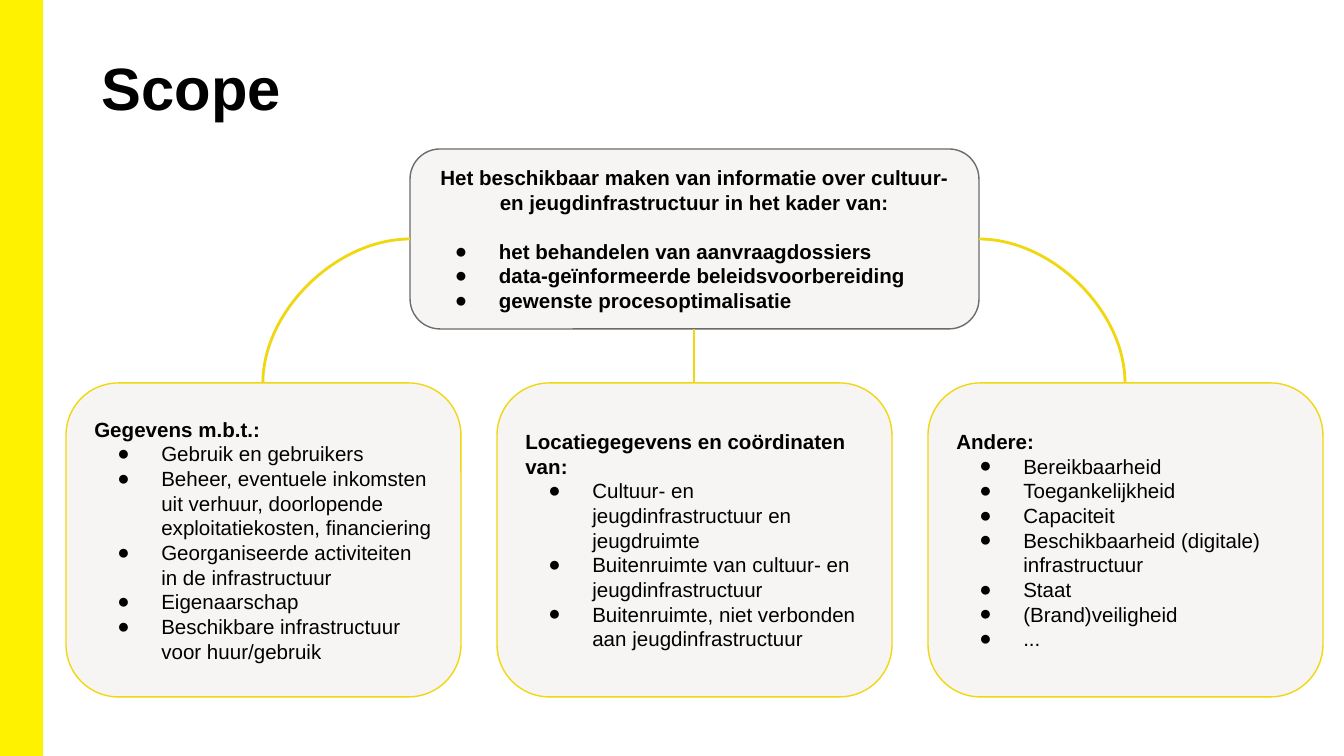
"""Build the Scope slide: a central goal linked to three cards of details."""
from dataclasses import dataclass

from lxml.etree import SubElement
from pptx import Presentation
from pptx.dml.color import RGBColor
from pptx.enum.shapes import MSO_CONNECTOR, MSO_SHAPE
from pptx.enum.text import MSO_ANCHOR, PP_ALIGN
from pptx.oxml.ns import qn
from pptx.util import Emu, Pt

PAGE_WIDTH, PAGE_HEIGHT = 1344, 756
SCALE = 9144000 / PAGE_WIDTH
BLACK, PALE, GREY = "000000", "F6F5F3", "6B6B6B"
YELLOW, GOLD = "FFF200", "F0D70F"
CARD_LEFT, CARD_STEP, CARD_TOP, CARD_WIDTH, CARD_HEIGHT = 66, 431, 383, 395, 314


@dataclass(frozen=True)
class Area:
    """A rectangle in px."""

    left: int
    top: int
    width: int
    height: int

    @property
    def middle(self) -> int:
        """Return the horizontal centre."""
        return self.left + self.width // 2


@dataclass(frozen=True)
class Card:
    """A heading with its bullet points."""

    heading: str
    points: tuple[str, ...]


GOAL_AREA = Area(410, 149, 569, 180)
GOAL = Card(
    "Het beschikbaar maken van informatie over cultuur- en jeugdinfrastructuur in het kader van:",
    (
        "het behandelen van aanvraagdossiers",
        "data-geïnformeerde beleidsvoorbereiding",
        "gewenste procesoptimalisatie",
    ),
)
CARDS = (
    Card("Gegevens m.b.t.:", (
        "Gebruik en gebruikers",
        "Beheer, eventuele inkomsten uit verhuur, doorlopende exploitatiekosten, financiering",
        "Georganiseerde activiteiten in de infrastructuur",
        "Eigenaarschap",
        "Beschikbare infrastructuur voor huur/gebruik",
    )),
    Card("Locatiegegevens en coördinaten van:", (
        "Cultuur- en jeugdinfrastructuur en jeugdruimte",
        "Buitenruimte van cultuur- en jeugdinfrastructuur",
        "Buitenruimte, niet verbonden aan jeugdinfrastructuur",
    )),
    Card("Andere:", (
        "Bereikbaarheid",
        "Toegankelijkheid",
        "Capaciteit",
        "Beschikbaarheid (digitale) infrastructuur",
        "Staat",
        "(Brand)veiligheid",
        "...",
    )),
)


def px(length: int) -> Emu:
    """Turn px into EMU."""
    return Emu(round(length * SCALE))


def color(value: str) -> RGBColor:
    """Turn a hex string into a colour."""
    return RGBColor.from_string(value)


def set_margins(frame, side: int, top: int, bottom: int) -> None:
    """Wrap the text and set its insets."""
    frame.word_wrap = True
    frame.margin_left = frame.margin_right = px(side)
    frame.margin_top, frame.margin_bottom = px(top), px(bottom)


def add_bullet(paragraph) -> None:
    """Give a paragraph a hanging round bullet."""
    properties = paragraph._p.get_or_add_pPr()
    properties.set("marL", str(px(67)))
    properties.set("indent", str(px(-44)))
    fill = SubElement(properties, qn("a:buClr"))
    SubElement(fill, qn("a:srgbClr")).set("val", BLACK)
    SubElement(properties, qn("a:buFont")).set("typeface", "Arial")
    SubElement(properties, qn("a:buChar")).set("char", "●")


def write(frame, text: str, *, size: int = 11, bold: bool = False, bullet: bool = False,
          align: PP_ALIGN = PP_ALIGN.LEFT, before: int = 0) -> None:
    """Write one paragraph, reusing the first one while it is empty."""
    first = frame.paragraphs[0]
    paragraph = frame.add_paragraph() if first.runs else first
    paragraph.alignment = align
    if before:
        paragraph.space_before = Pt(before)
    if bullet:
        add_bullet(paragraph)
    span = paragraph.add_run()
    span.text = text
    span.font.name = "Arial"
    span.font.size = Pt(size)
    span.font.bold = bold
    span.font.color.rgb = color(BLACK)


def add_box(page, area: Area, kind: MSO_SHAPE, fill: str, outline: str, weight: float):
    """Draw a filled, outlined shape."""
    box = page.shapes.add_shape(
        kind, px(area.left), px(area.top), px(area.width), px(area.height))
    box.shadow.inherit = False
    box.fill.solid()
    box.fill.fore_color.rgb = color(fill)
    box.line.color.rgb = color(outline)
    box.line.width = Pt(weight)
    return box


def add_card(page, area: Area, card: Card, outline: str, *, bold: bool = False,
             align: PP_ALIGN = PP_ALIGN.LEFT, gap: int = 0) -> None:
    """Draw a rounded card with its heading and bullets."""
    box = add_box(page, area, MSO_SHAPE.ROUNDED_RECTANGLE, PALE, outline, 0.75)
    frame = box.text_frame
    frame.vertical_anchor = MSO_ANCHOR.MIDDLE
    set_margins(frame, 13, 13, 13)
    write(frame, card.heading, bold=True, align=align)
    for index, point in enumerate(card.points):
        write(frame, point, bold=bold, bullet=True, before=0 if index else gap)


def add_link(page, start: tuple[int, int], end: tuple[int, int]) -> None:
    """Link two points, with a quarter curve unless they are in one column."""
    straight = start[0] == end[0]
    kind = MSO_CONNECTOR.STRAIGHT if straight else MSO_CONNECTOR.CURVE
    link = page.shapes.add_connector(kind, *map(px, start + end))
    link.line.color.rgb = color(GOLD)
    link.line.width = Pt(1.5)
    properties = link._element.spPr
    if not straight:
        properties.find(qn("a:prstGeom")).set("prst", "curvedConnector2")
    SubElement(properties, qn("a:effectLst"))


def add_title(page, area: Area, text: str) -> None:
    """Write the slide title."""
    box = page.shapes.add_textbox(
        px(area.left), px(area.top), px(area.width), px(area.height))
    set_margins(box.text_frame, 9, 11, 5)
    write(box.text_frame, text, size=32, bold=True)


def main() -> None:
    """Build and save the deck."""
    deck = Presentation()
    deck.slide_width, deck.slide_height = px(PAGE_WIDTH), px(PAGE_HEIGHT)
    page = deck.slides.add_slide(deck.slide_layouts[6])
    add_box(page, Area(0, 0, 42, PAGE_HEIGHT), MSO_SHAPE.RECTANGLE, YELLOW, YELLOW, 1)
    add_title(page, Area(93, 40, 1159, 109), "Scope")

    areas = [Area(CARD_LEFT + index * CARD_STEP, CARD_TOP, CARD_WIDTH, CARD_HEIGHT)
             for index in range(len(CARDS))]
    for area, card in zip(areas, CARDS):
        add_card(page, area, card, GOLD)
    add_card(page, GOAL_AREA, GOAL, GREY, bold=True, align=PP_ALIGN.CENTER, gap=13)

    side = GOAL_AREA.top + GOAL_AREA.height // 2
    right = GOAL_AREA.left + GOAL_AREA.width
    bottom = GOAL_AREA.top + GOAL_AREA.height
    starts = ((GOAL_AREA.left, side), (GOAL_AREA.middle, bottom), (right, side))
    for start, area in zip(starts, areas):
        add_link(page, start, (area.middle, area.top))
    deck.save("out.pptx")


if __name__ == "__main__":
    main()
